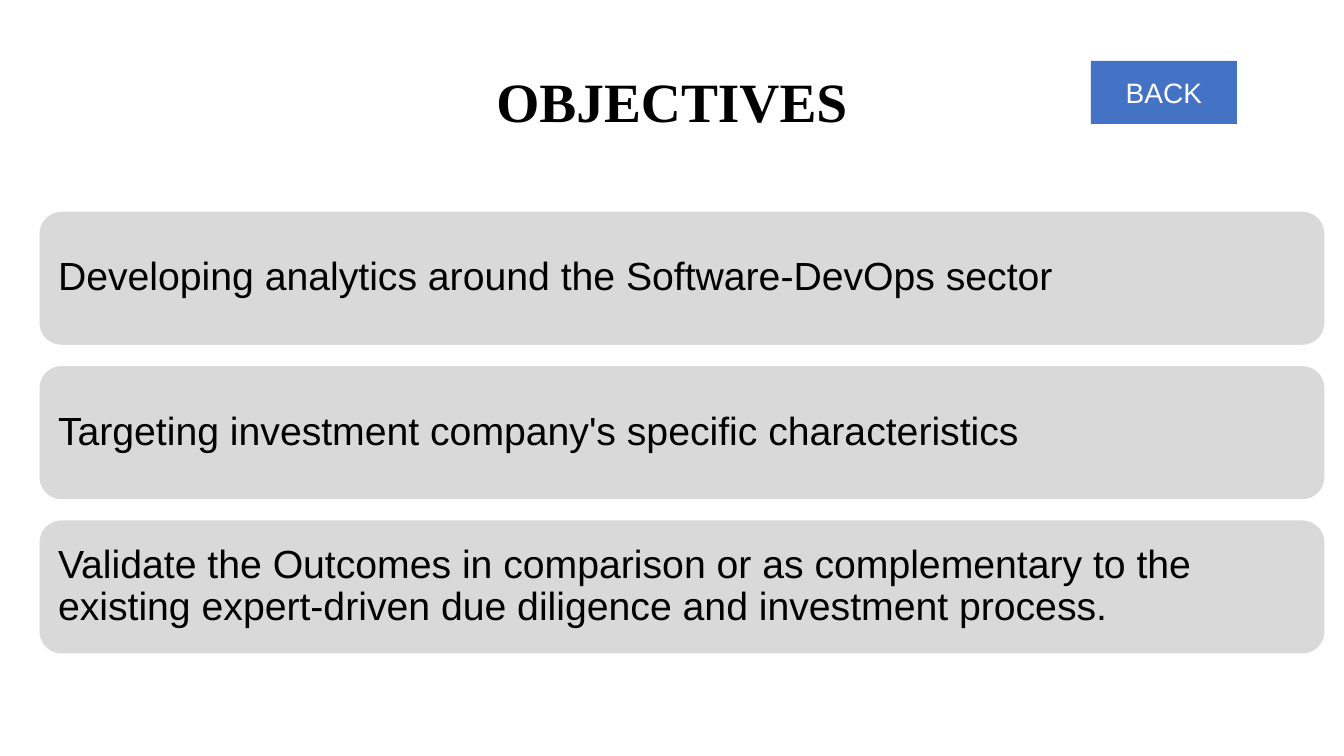
from dataclasses import dataclass

from pptx import Presentation
from pptx.dml.color import RGBColor
from pptx.enum.shapes import MSO_SHAPE
from pptx.enum.text import MSO_ANCHOR, PP_ALIGN
from pptx.shapes.autoshape import Shape
from pptx.slide import Slide
from pptx.util import Emu, Pt


@dataclass(frozen=True)
class Theme:
    ink: str = "000000"
    paper: str = "FFFFFF"
    card: str = "D9D9D9"
    button: str = "4472C4"
    title_font: str = "Times New Roman"
    body_font: str = "Arial"
    title_size: float = 39.6
    card_size: float = 28
    button_size: float = 20


@dataclass(frozen=True)
class Box:
    left: int
    top: int
    width: int
    height: int


THEME = Theme()
EMU_PER_PX = 9525
TITLE = Box(88, 71, 1104, 106)
BACK_BUTTON = Box(1039, 58, 139, 60)
FIRST_CARD = Box(37, 201, 1225, 128)
CARD_PITCH = 147
CARD_INSET = 12
OBJECTIVES = (
    "Developing analytics around the Software-DevOps sector",
    "Targeting investment company's specific characteristics",
    "Validate the Outcomes in comparison or as complementary to the "
    "existing expert-driven due diligence and investment process.",
)


def px(n: int) -> Emu:
    return Emu(n * EMU_PER_PX)


def write(sp: Shape, text: str, *, size: float, color: str = THEME.ink,
          font: str = THEME.body_font, bold: bool = False,
          align: PP_ALIGN = PP_ALIGN.LEFT, spacing: float = 1.0,
          anchor: MSO_ANCHOR = MSO_ANCHOR.MIDDLE) -> None:
    tf = sp.text_frame
    tf.word_wrap = True
    tf.vertical_anchor = anchor
    p = tf.paragraphs[0]
    p.alignment = align
    p.line_spacing = spacing
    r = p.add_run()
    r.text = text
    r.font.size = Pt(size)
    r.font.name = font
    r.font.bold = bold
    r.font.color.rgb = RGBColor.from_string(color)


def add_box(s: Slide, kind: MSO_SHAPE, box: Box, fill: str) -> Shape:
    sp = s.shapes.add_shape(kind, px(box.left), px(box.top),
                            px(box.width), px(box.height))
    sp.shadow.inherit = False
    sp.fill.solid()
    sp.fill.fore_color.rgb = RGBColor.from_string(fill)
    sp.line.fill.background()
    return sp


def add_title(s: Slide, text: str) -> None:
    sp = s.shapes.title
    sp.left, sp.top = px(TITLE.left), px(TITLE.top)
    sp.width, sp.height = px(TITLE.width), px(TITLE.height)
    sp.text_frame.margin_top = 0
    write(sp, text, size=THEME.title_size, font=THEME.title_font, bold=True,
          align=PP_ALIGN.CENTER, spacing=0.9, anchor=MSO_ANCHOR.TOP)


def add_card(s: Slide, row: int, text: str) -> None:
    box = Box(FIRST_CARD.left, FIRST_CARD.top + row * CARD_PITCH,
              FIRST_CARD.width, FIRST_CARD.height)
    sp = add_box(s, MSO_SHAPE.ROUNDED_RECTANGLE, box, THEME.card)
    sp.line.color.rgb = RGBColor.from_string(THEME.paper)
    sp.line.width = Pt(1)
    tf = sp.text_frame
    tf.margin_left = tf.margin_right = px(CARD_INSET)
    tf.margin_top = tf.margin_bottom = px(CARD_INSET)
    write(sp, text, size=THEME.card_size, spacing=0.9)


def add_back_button(s: Slide) -> None:
    sp = add_box(s, MSO_SHAPE.RECTANGLE, BACK_BUTTON, THEME.button)
    write(sp, "BACK", size=THEME.button_size, color=THEME.paper,
          align=PP_ALIGN.CENTER)


def main() -> None:
    prs = Presentation()
    prs.slide_width, prs.slide_height = px(1280), px(720)
    s = prs.slides.add_slide(prs.slide_layouts.get_by_name("Title Only"))
    add_title(s, "OBJECTIVES")
    for row, text in enumerate(OBJECTIVES):
        add_card(s, row, text)
    add_back_button(s)
    prs.save("out.pptx")


if __name__ == "__main__":
    main()
